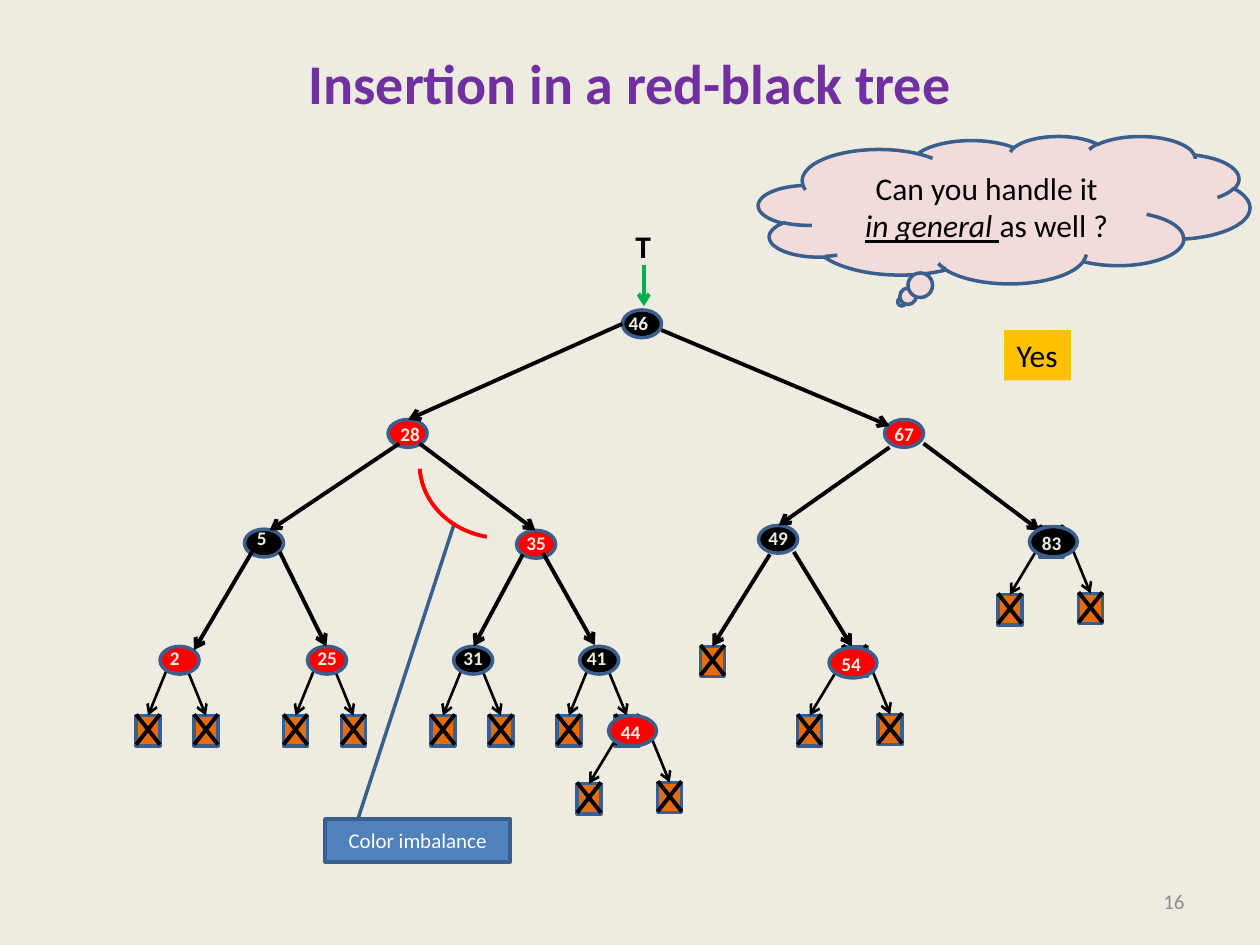
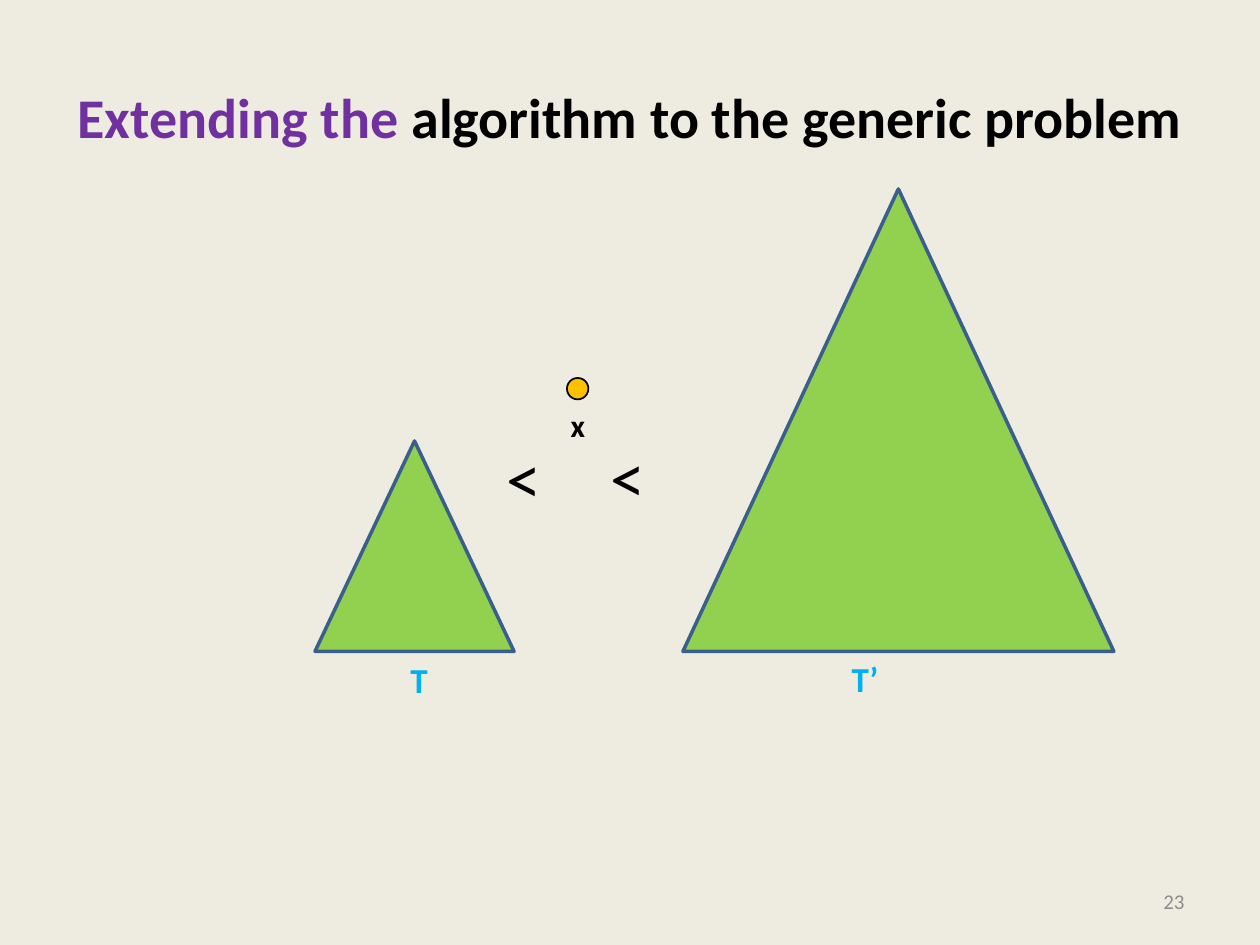
from lxml.etree import SubElement
from pptx import Presentation
from pptx.dml.color import RGBColor
from pptx.enum.shapes import MSO_CONNECTOR as Connector, MSO_SHAPE as Shape
from pptx.enum.text import MSO_ANCHOR as Anchor, MSO_AUTO_SIZE as AutoSize, PP_ALIGN as Align
from pptx.oxml.ns import qn
from pptx.util import Inches, Pt

WIDTH, HEIGHT = Inches(10), Inches(7.5)
COLUMN, ROW = WIDTH // 100, HEIGHT // 75
FONT = "Calibri"
CREAM, PURPLE, GREY, BLACK, WHITE = "EEECE1", "7030A0", "8C8C8C", "000000", "FFFFFF"
RED, ORANGE, AMBER, PINK = "FF0000", "E46C0A", "FFC000", "F2DCDB"
NAVY, BLUE, SKY, GREEN, LIME = "3A5F8C", "4F81BD", "00B0F0", "00B050", "92D050"

# Node: key, left, top, fill, label left, label top
NODES = [
    ("46", 49.4, 24.6, BLACK, 48.9, 24.2),
    ("28", 30.8, 33.3, RED, 30.8, 33),
    ("67", 70.2, 33.3, RED, 70, 33),
    ("5", 19.4, 42, BLACK, 19.4, 41.3),
    ("35", 41, 42.1, RED, 40.8, 41.7),
    ("49", 60.2, 41.7, BLACK, 60, 41.3),
    ("2", 12.7, 51.3, RED, 12.5, 50.8),
    ("25", 24.4, 51.3, RED, 24.2, 50.8),
    ("31", 36, 51.3, BLACK, 35.8, 50.8),
    ("41", 46, 51.3, BLACK, 45.6, 50.8),
]
EDGES = [
    ((49.4, 25.7), (32.4, 33.3)),
    ((52.5, 26.2), (70.6, 33.8)),
    ((31.7, 35.2), (21.4, 42.1)),
    ((33.3, 35.2), (42.5, 42.1)),
    ((70.6, 35.5), (61.8, 41.7)),
    ((73.3, 35.2), (82.5, 42.1)),
    ((20, 43.8), (15.4, 51.6)),
    ((22.2, 43.8), (25.9, 51.3)),
    ((41.5, 44), (37.6, 51.3)),
    ((43.1, 43.9), (47.2, 51.2)),
    ((63, 43.8), (67.6, 51.3)),
]
LEAF_PAIRS = [10.8, 22.5, 34.2, 44.2]
COVERED_LEAVES = [(66.9, 51.3), (82.5, 41.8)]
SUBTREES = [("83", 79.2, 41.8, BLACK), ("54", 63.3, 51.4, RED), ("44", 45.8, 56.8, RED)]


def color(hex_code):
    """Turn a hex string into a colour."""
    return RGBColor.from_string(hex_code)


def place(left, top, width, height):
    """Convert grid columns and rows to slide lengths."""
    return [round(n * unit) for n, unit in zip((left, top, width, height), (COLUMN, ROW) * 2)]


def add_span(para, text, size, tint, **styles):
    """Append one formatted run to a paragraph."""
    span = para.add_run()
    span.text = text
    span.font.name, span.font.size = FONT, Pt(size)
    span.font.color.rgb = color(tint)
    for name, value in styles.items():
        setattr(span.font, name, value)


def add_figure(page, kind, area, fill=None, outline=NAVY, weight=2):
    """Add a preset shape without shadow and return it."""
    figure = page.shapes.add_shape(kind, *place(*area))
    figure.shadow.inherit = False
    if fill:
        figure.fill.solid()
        figure.fill.fore_color.rgb = color(fill)
    else:
        figure.fill.background()
    if outline:
        figure.line.color.rgb = color(outline)
        figure.line.width = Pt(weight)
    else:
        figure.line.fill.background()
    return figure


def add_label(page, area, text, size, tint, align=Align.LEFT, wrap=False, **styles):
    """Add a text box holding a single run."""
    box = page.shapes.add_textbox(*place(*area))
    frame = box.text_frame
    frame.word_wrap = wrap
    frame.auto_size = AutoSize.NONE if wrap else AutoSize.SHAPE_TO_FIT_TEXT
    para = frame.paragraphs[0]
    para.alignment = align
    add_span(para, text, size, tint, **styles)
    return box


def add_stroke(page, start, end, weight=2.25, tint=BLACK, arrow=False):
    """Add a straight line, with an arrowhead if wanted."""
    stroke = page.shapes.add_connector(Connector.STRAIGHT, *place(*start, *end))
    stroke.line.color.rgb = color(tint)
    stroke.line.width = Pt(weight)
    properties = stroke.element.spPr
    if arrow:
        SubElement(properties.find(qn("a:ln")), qn("a:tailEnd"), type="arrow")
    SubElement(properties, qn("a:effectLst"))
    return stroke


def add_leaf(page, left, top):
    """Add a crossed square that stands for an empty leaf."""
    leaf = add_figure(page, Shape.RECTANGLE, (left, top, 1.9, 2.4), ORANGE)
    upper, lower = top - 0.1, top + 2.3
    add_stroke(page, (left + 1.9, upper), (left, lower))
    add_stroke(page, (left, upper), (left + 1.9, lower))
    return leaf


def add_hanging_leaf(page, left, top, start, weight=1.5):
    """Add a leaf and the arrow that leads to its top."""
    leaf = add_leaf(page, left, top)
    arrow = add_stroke(page, start, (left + 0.95, top), weight, arrow=True)
    arrow.end_connect(leaf, 0)


def add_key(page, key, left, top):
    """Write the key of a tree node."""
    add_label(page, (left, top, 2 + 0.8 * len(key), 2.9), key, 11, CREAM, bold=True)


def add_subtree(page, key, left, top, fill):
    """Add a wide node with its two leaves."""
    add_hanging_leaf(page, left, top + 5.4, (left + 3, top + 2))
    add_hanging_leaf(page, left + 6.4, top + 5.3, (left + 5.8, top + 1.5))
    add_figure(page, Shape.OVAL, (left + 2.5, top, 3.8, 2.4), fill)
    add_key(page, key, left + 2.5, top - 0.1)


def add_page(deck, number, title_spans, lift=0):
    """Add a title-only slide with background, title and page number."""
    page = deck.slides.add_slide(deck.slide_layouts[5])
    page.background.fill.solid()
    page.background.fill.fore_color.rgb = color(CREAM)
    title = page.shapes.title
    title.left, title.top, title.width, title.height = place(5, 3, 90, 12.5)
    frame = title.text_frame
    frame.vertical_anchor = Anchor.MIDDLE
    frame.margin_bottom = Inches(0.05) + round(lift * ROW)
    para = frame.paragraphs[0]
    para.alignment = Align.CENTER
    for text, tint in title_spans:
        add_span(para, text, 32, tint, bold=True)
    footer = add_label(page, (71.7, 69.5, 23.3, 4), number, 12, GREY, Align.RIGHT, wrap=True)
    footer.text_frame.vertical_anchor = Anchor.MIDDLE
    return page


def add_tree(page):
    """Draw the red-black tree."""
    for left in LEAF_PAIRS:
        add_hanging_leaf(page, left, 56.8, (left + 2.5, 53))
        add_hanging_leaf(page, left + 4.6, 56.8, (left + 4, 53))
    add_hanging_leaf(page, 55.6, 51.3, (61.1, 44), 2.25)
    for left, top in COVERED_LEAVES:
        add_leaf(page, left, top)
    for _, left, top, fill, _, _ in NODES:
        add_figure(page, Shape.OVAL, (left, top, 3.1, 2.2), fill)
    for start, end in EDGES:
        add_stroke(page, start, end, arrow=True)
    for key, _, _, _, left, top in NODES:
        add_key(page, key, left, top)
    for subtree in SUBTREES:
        add_subtree(page, *subtree)
    add_stroke(page, (51.1, 21), (51.1, 24.3), tint=GREEN, arrow=True)
    add_label(page, (48.3, 17.5, 5.5, 4), "T", 18, BLACK, Align.CENTER, wrap=True, bold=True)


def add_remarks(page):
    """Add the imbalance callout, the question cloud and its answer."""
    callout = add_figure(page, Shape.LINE_CALLOUT_1, (25.8, 65, 14.7, 3.4), BLUE)
    for index, value in enumerate((-0.03, 0.18, -6.92, 0.7)):
        callout.adjustments[index] = value
    callout.text_frame.vertical_anchor = Anchor.MIDDLE
    para = callout.text_frame.paragraphs[0]
    para.alignment = Align.CENTER
    add_span(para, "Color imbalance", 12, WHITE)

    arc = add_figure(page, Shape.ARC, (33.3, 30.8, 13.3, 11.9), outline=RED, weight=2.25)
    arc.adjustments[0], arc.adjustments[1] = 171.89, 0
    arc.rotation = 176.1

    cloud = add_figure(page, Shape.CLOUD_CALLOUT, (60.2, 10.8, 39, 11.7), PINK)
    frame = cloud.text_frame
    frame.vertical_anchor = Anchor.MIDDLE
    question, emphasis = frame.paragraphs[0], frame.add_paragraph()
    question.alignment = emphasis.alignment = Align.CENTER
    add_span(question, "Can you handle it", 18, BLACK)
    add_span(emphasis, "in general ", 18, BLACK, italic=True, underline=True)
    add_span(emphasis, "as well ?", 18, BLACK)

    answer = add_label(page, (79.7, 26.2, 5.3, 4), "Yes", 18, BLACK)
    answer.fill.solid()
    answer.fill.fore_color.rgb = color(AMBER)


def add_comparison(page):
    """Draw the two trees and the element between them."""
    add_figure(page, Shape.ISOSCELES_TRIANGLE, (54.2, 15, 34.2, 36.7), LIME)
    add_figure(page, Shape.ISOSCELES_TRIANGLE, (25, 35, 15.8, 16.7), LIME)
    add_label(page, (66.6, 51.7, 4.2, 4.4), "T’", 20, SKY, bold=True)
    add_label(page, (31.6, 51.8, 3.4, 4.4), "T", 20, SKY, bold=True)
    add_figure(page, Shape.OVAL, (45, 30, 1.7, 1.7), AMBER, BLACK, 1)
    add_label(page, (44.3, 31.7, 3.2, 4), "x", 18, BLACK, bold=True)
    for left, top in ((39.2, 34), (47.5, 33.9)):
        add_label(page, (left, top, 4.8, 7.7), "<", 40, BLACK)


def main():
    """Build and save the deck."""
    deck = Presentation()
    deck.slide_width, deck.slide_height = WIDTH, HEIGHT
    insertion = add_page(deck, "16", [("Insertion in a red-black tree", PURPLE)], lift=5.4)
    add_tree(insertion)
    add_remarks(insertion)
    extension = add_page(
        deck, "23", [("Extending the ", PURPLE), ("algorithm to the generic problem", BLACK)]
    )
    add_comparison(extension)
    deck.save("out.pptx")


if __name__ == "__main__":
    main()
